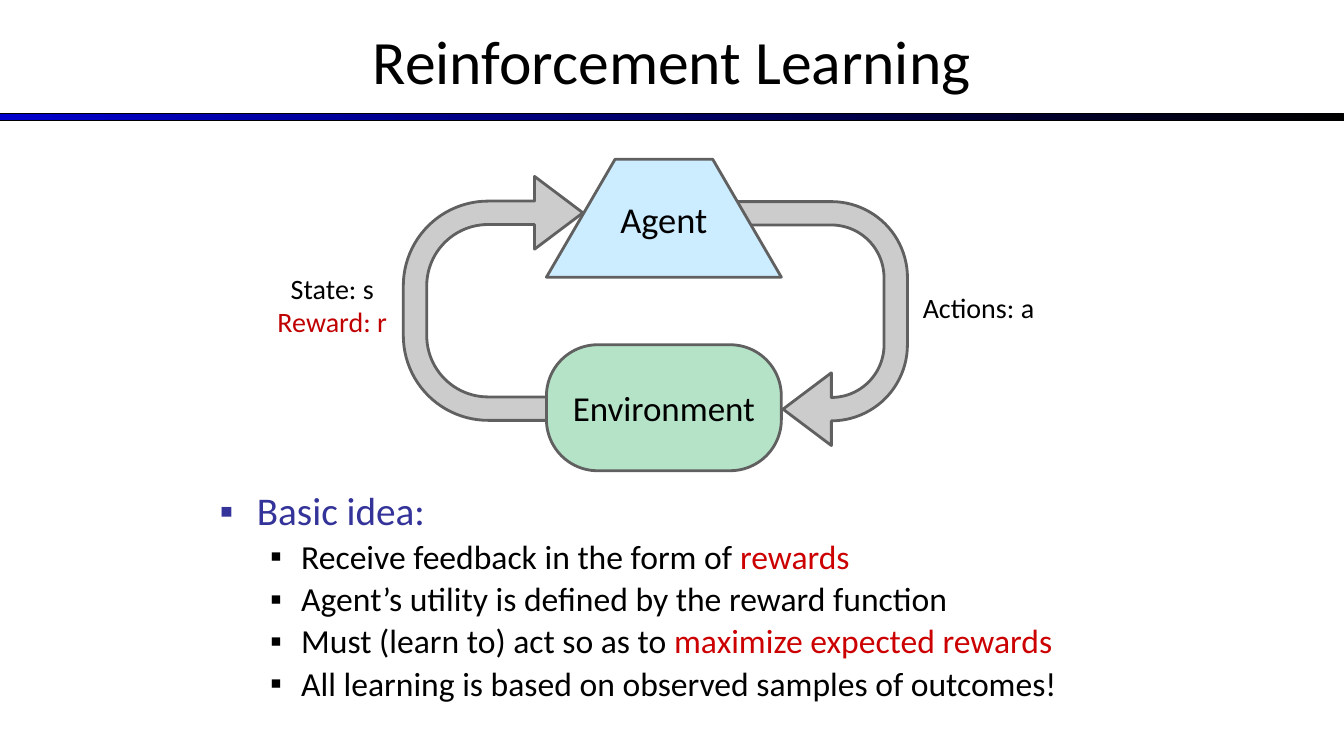
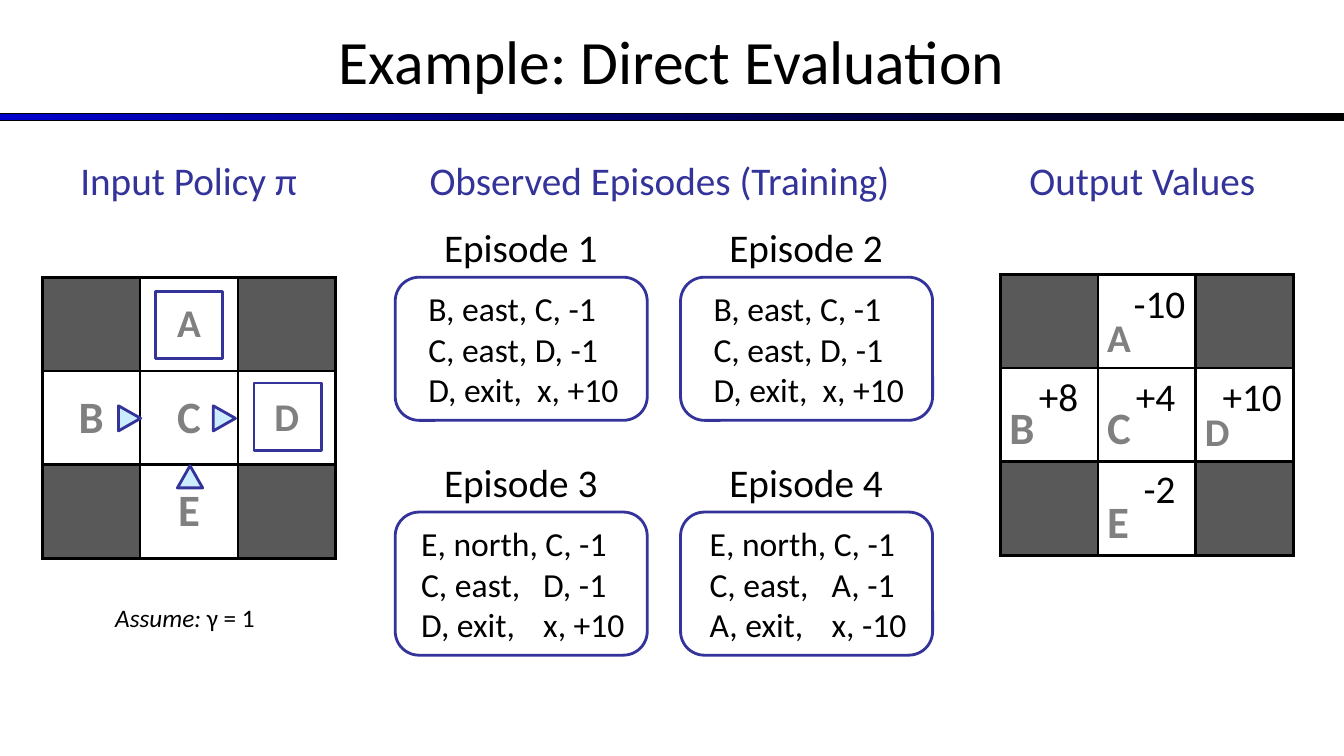
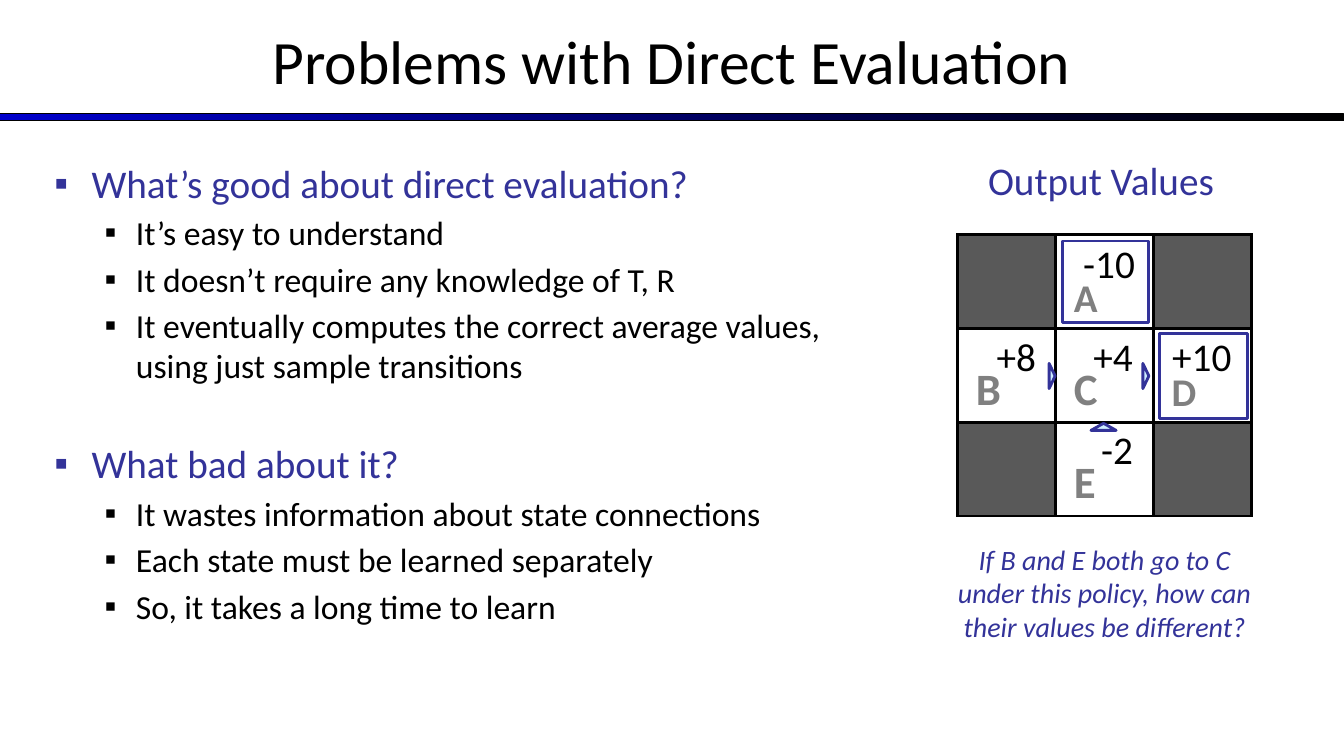
import pptx
import pptx.util
import pptx.dml.color
import pptx.enum.shapes
import pptx.enum.text
import pptx.oxml
import pptx.oxml.ns

Inches = pptx.util.Inches
Pt = pptx.util.Pt
SHAPE = pptx.enum.shapes.MSO_SHAPE
ALIGN = pptx.enum.text.PP_ALIGN
ANCHOR = pptx.enum.text.MSO_ANCHOR

FONT = "Calibri"
COLORS = {
    "black": "000000", "white": "FFFFFF", "navy": "333399", "bar": "0000CC",
    "red": "CC0000", "reward": "C00000", "arrow": "CCCCCC", "outline": "606060",
    "agent": "CCECFF", "environment": "B5E3C8", "wall": "595959", "state": "808080",
}
CELL = (0.97, 0.93)
STATES = {(0, 1): ("A", 28), (1, 0): ("B", 32), (1, 1): ("C", 32),
          (1, 2): ("D", 28), (2, 1): ("E", 32)}
VALUES = {"A": ("-10", 0), "B": ("+8", 1), "C": ("+4", 1),
          "D": ("+10", 1), "E": ("-2", 2)}


def rgb(name):
    return pptx.dml.color.RGBColor.from_string(COLORS[name])


def xml(tag, content="", **attrs):
    text = "".join(f' {k}="{v}"' for k, v in attrs.items())
    ns = pptx.oxml.ns.nsdecls("a")
    return pptx.oxml.parse_xml(f"<a:{tag} {ns}{text}>{content}</a:{tag}>")


def add_run(p, text, size, color="black", bold=False, italic=False):
    r = p.add_run()
    r.text = text
    r.font.name = FONT
    r.font.size = Pt(size)
    r.font.bold = bold
    r.font.italic = italic
    r.font.color.rgb = rgb(color)


def paragraphs(tf, count):
    return [tf.paragraphs[0]] + [tf.add_paragraph() for _ in range(count - 1)]


def text_box(s, box, lines, size, color="black", align=ALIGN.CENTER, tab=None):
    tf = s.shapes.add_textbox(*map(Inches, box)).text_frame
    tf.word_wrap = True
    for p, runs in zip(paragraphs(tf, len(lines)), lines):
        p.alignment = align
        if tab:
            stop = f'<a:tab pos="{Inches(tab)}" algn="l"/>'
            p._p.get_or_add_pPr().append(xml("tabLst", stop))
        for text, style in runs:
            add_run(p, text, size, **{"color": color, **style})


def label(s, box, text, size, color="black", **style):
    text_box(s, box, [[(text, style)]], size, color)


def shape(s, kind, box, fill=None, line="navy", rotation=0, adjust=()):
    sp = s.shapes.add_shape(kind, *map(Inches, box))
    sp.shadow.inherit = False
    sp.rotation = rotation
    for i, value in enumerate(adjust):
        sp.adjustments[i] = value
    if fill:
        sp.fill.solid()
        sp.fill.fore_color.rgb = rgb(fill)
    else:
        sp.fill.background()
    sp.line.color.rgb = rgb(line)
    sp.line.width = Pt(2)
    return sp


def shape_text(sp, text, size, anchor, top=0.05):
    tf = sp.text_frame
    tf.word_wrap = False
    tf.vertical_anchor = anchor
    tf.margin_top = Inches(top)
    p = tf.paragraphs[0]
    p.alignment = ALIGN.CENTER
    add_run(p, text, size)


def bullets(s, box, items, line_spacing=1.0):
    tf = s.shapes.add_textbox(*map(Inches, box)).text_frame
    tf.word_wrap = True
    styles = [(28, "navy", 0.37, 0.37), (24, "black", 0.81, 0.31)]
    for p, (level, gap, runs) in zip(paragraphs(tf, len(items)), items):
        size, color, left, hang = styles[level]
        p.level = level
        p.line_spacing = line_spacing
        p.space_before = Pt(gap or round(size * 0.18, 1))
        pPr = p._p.get_or_add_pPr()
        pPr.set("marL", str(Inches(left)))
        pPr.set("indent", str(-Inches(hang)))
        pPr.append(xml("buClr", f'<a:srgbClr val="{COLORS[color]}"/>'))
        pPr.append(xml("buFont", typeface="Arial"))
        pPr.append(xml("buChar", char="▪"))
        for text, run_color in runs:
            add_run(p, text, size, run_color or color)


def border_cell(cell):
    tcPr = cell._tc.get_or_add_tcPr()
    line = f'<a:solidFill><a:srgbClr val="{COLORS["black"]}"/></a:solidFill>'
    for i, side in enumerate(("lnL", "lnR", "lnT", "lnB")):
        tcPr.insert(i, xml(side, line, w=Pt(2.25)))


def grid_world(s, left, top, anchor, align, margin=0.09):
    w, h = CELL
    box = map(Inches, (left, top, 3 * w, 3 * h))
    table = s.shapes.add_table(3, 3, *box).table
    table.first_row = table.horz_banding = False
    for i in range(3):
        table.columns[i].width = Inches(w)
        table.rows[i].height = Inches(h)
        for j in range(3):
            cell = table.cell(i, j)
            cell.vertical_anchor = anchor
            cell.margin_left = Inches(margin)
            cell.margin_right = Inches(0.09)
            state = STATES.get((i, j))
            cell.fill.solid()
            cell.fill.fore_color.rgb = rgb("white" if state else "wall")
            border_cell(cell)
            if state:
                p = cell.text_frame.paragraphs[0]
                p.alignment = align
                add_run(p, *state, color="state", bold=True)


def value_grid(s, left, top, margin, shifts):
    grid_world(s, left, top, ANCHOR.BOTTOM, ALIGN.LEFT, margin)
    for (value, row), shift in zip(VALUES.values(), shifts):
        label(s, (left + shift, top + 0.92 * row, 1, 0.57), value, 28)


def policy_marks(s, exits, arrows):
    for box in exits:
        shape(s, SHAPE.RECTANGLE, box)
    for box, rotation in zip(arrows, (90, 90, 0)):
        shape(s, SHAPE.ISOSCELES_TRIANGLE, box, "agent", rotation=rotation)


def title_layout(prs):
    layout = prs.slide_layouts[5]
    title = layout.placeholders[0]
    title.left, title.top = 0, Inches(-0.03)
    title.width, title.height = prs.slide_width, Inches(1.25)
    return layout


def add_bar(s, layout):
    bar = shape(s, SHAPE.RECTANGLE, (0, 1.13, 13.33, 0.07), line="black")
    bar.line.width = Pt(0.75)
    bar.fill.gradient()
    bar.fill.gradient_angle = 0
    for stop, color in zip(bar.fill.gradient_stops, ("bar", "black")):
        stop.color.rgb = rgb(color)
    layout.shapes.element.append(bar.element)


def new_slide(prs, layout, title):
    s = prs.slides.add_slide(layout)
    tf = s.shapes.title.text_frame
    tf.vertical_anchor = ANCHOR.MIDDLE
    p = tf.paragraphs[0]
    p.alignment = ALIGN.CENTER
    add_run(p, title, 44)
    return s


def learning_slide(s):
    for box, rotation, reach in (((3.75, 2, 2.42, 1.92), 270, 0.928),
                                 ((6.83, 2.25, 2.42, 1.92), 90, 0.643)):
        shape(s, SHAPE.U_TURN_ARROW, box, "arrow", "outline", rotation,
              (0.121, 0.188, 0.25, 0.438, reach))
    bullets(s, (2.08, 4.83, 9.17, 2.25), [
        (0, None, [("Basic idea:", None)]),
        (1, None, [("Receive feedback in the form of ", None), ("rewards", "red")]),
        (1, None, [("Agent’s utility is defined by the reward function", None)]),
        (1, None, [("Must (learn to) act so as to ", None),
                   ("maximize expected rewards", "red")]),
        (1, None, [("All learning is based on observed samples of outcomes!", None)]),
    ], 0.9)
    environment = shape(s, SHAPE.ROUNDED_RECTANGLE, (5.42, 3.42, 2.33, 1.25),
                        "environment", "outline", adjust=(0.406,))
    shape_text(environment, "Environment", 25, ANCHOR.MIDDLE)
    agent = shape(s, SHAPE.TRAPEZOID, (5.42, 1.58, 2.33, 1.17),
                  "agent", "outline", adjust=(0.582,))
    shape_text(agent, "Agent", 26, ANCHOR.TOP, 0.15)
    label(s, (8.83, 2.83, 1.75, 0.44), "Actions: a", 20)
    text_box(s, (2.42, 2.64, 1.75, 0.77),
             [[("State: s", {})], [("Reward: r", {"color": "reward"})]], 20)


def evaluation_slide(s):
    for left, width, heading in ((0.58, 2.58, "Input Policy π"),
                                 (4.08, 4.92, "Observed Episodes (Training)"),
                                 (9.83, 3, "Output Values")):
        label(s, (left, 1.5, width, 0.57), heading, 28, "navy")
    text_box(s, (0.5, 5.93, 2.67, 0.4),
             [[("Assume: ", {"italic": True}), ("γ = 1", {})]], 18)
    grid_world(s, 0.42, 2.75, ANCHOR.MIDDLE, ALIGN.CENTER)
    policy_marks(s, [(2.52, 3.8, 0.67, 0.67), (1.54, 2.89, 0.67, 0.67)],
                 [(1.16, 4.04, 0.25, 0.22), (2.1, 4.04, 0.25, 0.22),
                  (1.76, 4.62, 0.25, 0.22)])
    east = ("B, east, C, -1", "C, east, D, -1", "D, exit,\tx, +10")
    episodes = [
        (0.23, 1.08, east),
        (0.23, 1.08, east),
        (0.16, 1.21, ("E, north, C, -1", "C, east,\tD, -1", "D, exit,\tx, +10")),
        (0.19, 1.21, ("E, north, C, -1", "C, east,\tA, -1", "A, exit,\tx, -10")),
    ]
    for i, (inset, tab, steps) in enumerate(episodes):
        left, top = 3.92 + 2.83 * (i % 2), 2.75 + 2.33 * (i // 2)
        label(s, (left + 0.33, top - 0.58, 1.83, 0.57), f"Episode {i + 1}", 28)
        shape(s, SHAPE.ROUNDED_RECTANGLE, (left, top, 2.5, 1.42))
        text_box(s, (left + inset, top + 0.06, 2.5, 1.31),
                 [[(step, {})] for step in steps], 24, align=ALIGN.LEFT, tab=tab)
    value_grid(s, 9.92, 2.72, 0.09, (1.08, 0.08, 1.04, 2, 1.08))


def problems_slide(s):
    bullets(s, (0.44, 1.53, 7.89, 5.17), [
        (level, gap, [(text, None)]) for level, gap, text in (
            (0, None, "What’s good about direct evaluation?"),
            (1, None, "It’s easy to understand"),
            (1, None, "It doesn’t require any knowledge of T, R"),
            (1, None, "It eventually computes the correct average values, "
                      "using just sample transitions"),
            (0, 38.6, "What bad about it?"),
            (1, None, "It wastes information about state connections"),
            (1, None, "Each state must be learned separately"),
            (1, None, "So, it takes a long time to learn"))])
    label(s, (9.42, 1.5, 3, 0.57), "Output Values", 28, "navy")
    value_grid(s, 9.5, 2.33, 0.18, (1, 0.08, 1.04, 1.92, 1.08))
    label(s, (9.33, 5.33, 3.25, 1.11),
          "If B and E both go to C under this policy, how can their values be different?",
          20, "navy", italic=True)
    policy_marks(s, [(11.5, 3.31, 0.87, 0.84), (10.54, 2.39, 0.85, 0.81)],
                 [(10.31, 3.7, 0.25, 0.06), (11.24, 3.7, 0.25, 0.06),
                  (10.82, 4.2, 0.25, 0.07)])


def main():
    prs = pptx.Presentation()
    prs.slide_width, prs.slide_height = Inches(13.33), Inches(7.5)
    layout = title_layout(prs)
    s = new_slide(prs, layout, "Reinforcement Learning")
    add_bar(s, layout)
    learning_slide(s)
    evaluation_slide(new_slide(prs, layout, "Example: Direct Evaluation"))
    problems_slide(new_slide(prs, layout, "Problems with Direct Evaluation"))
    prs.save("out.pptx")


if __name__ == "__main__":
    main()
